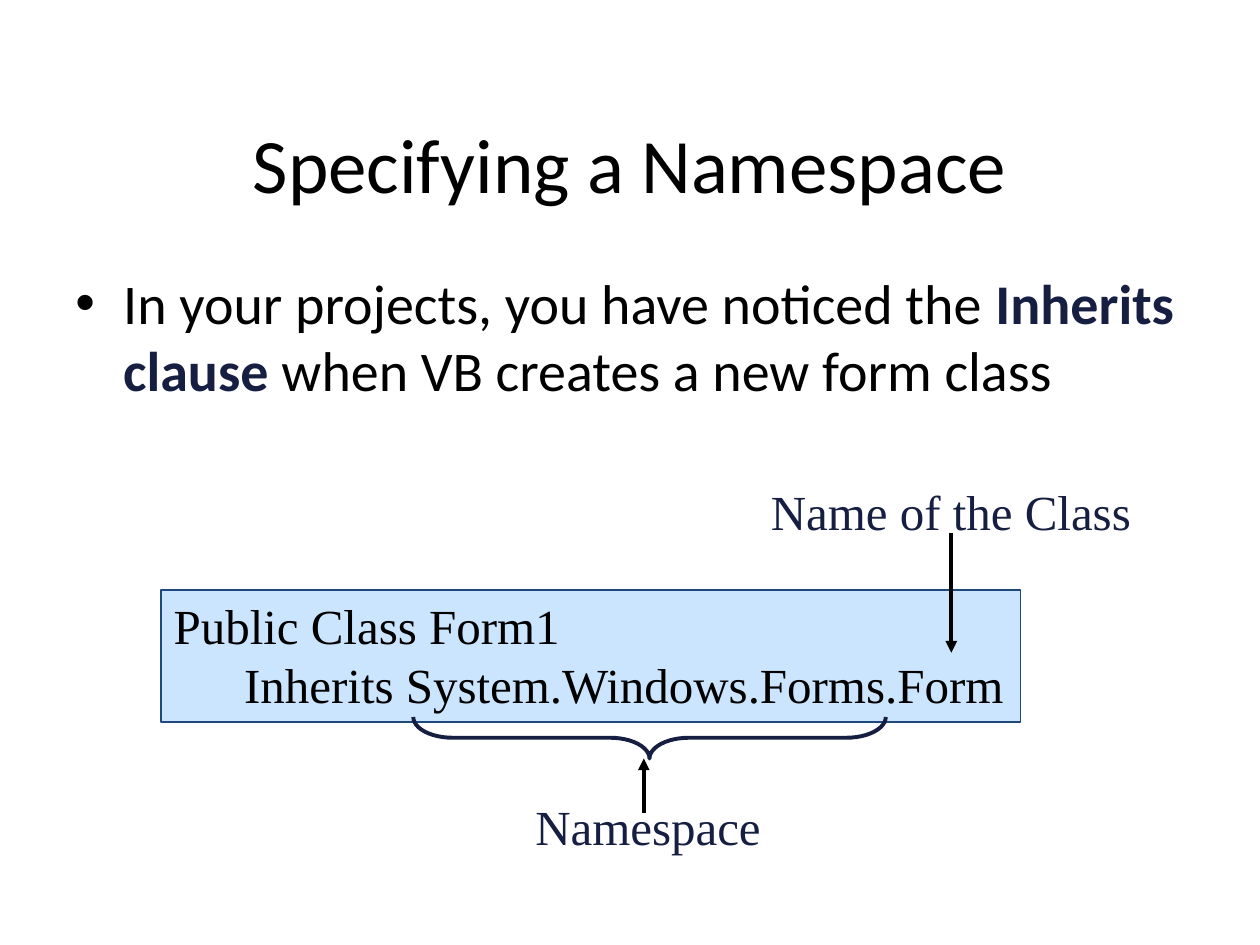
from dataclasses import dataclass

from lxml import etree
from pptx import Presentation
from pptx.dml.color import RGBColor
from pptx.enum.shapes import MSO_CONNECTOR, MSO_SHAPE
from pptx.enum.text import MSO_ANCHOR, MSO_AUTO_SIZE, PP_ALIGN
from pptx.oxml.ns import qn
from pptx.util import Inches, Pt

BLACK = RGBColor(0x00, 0x00, 0x00)
NAVY = RGBColor(0x16, 0x1F, 0x42)
BOX_FILL = RGBColor(0xCB, 0xE5, 0xFF)
BOX_LINE = RGBColor(0x1F, 0x49, 0x7D)
HEADING_FONT = "Calibri"
DIAGRAM_FONT = "Times New Roman"
RECTANGLE, LEFT_BRACE = MSO_SHAPE.RECTANGLE, MSO_SHAPE.LEFT_BRACE
STRAIGHT = MSO_CONNECTOR.STRAIGHT
LEFT, CENTER = PP_ALIGN.LEFT, PP_ALIGN.CENTER
TOP, MIDDLE = MSO_ANCHOR.TOP, MSO_ANCHOR.MIDDLE
GROW = MSO_AUTO_SIZE.SHAPE_TO_FIT_TEXT


@dataclass
class Label:
    text: str
    left: float
    top: float
    width: float


@dataclass
class Arrow:
    x: float
    start: float
    end: float


LABELS = [
    Label("Name of the Class", 6.02, 3.77, 3.06),
    Label("Namespace", 4.15, 6.27, 1.99),
]
ARROWS = [Arrow(7.55, 4.23, 5.18), Arrow(5.11, 6.45, 6.02)]
CODE = "Public Class Form1\n\tInherits System.Windows.Forms.Form"


def style_run(run, font: str, size: float, color: RGBColor, bold: bool = False) -> None:
    run.font.name = font
    run.font.size = Pt(size)
    run.font.color.rgb = color
    run.font.bold = bold


def set_diagram_text(shape, text: str, color: RGBColor) -> None:
    frame = shape.text_frame
    frame.text = text
    frame.word_wrap = False
    frame.auto_size = GROW
    frame.vertical_anchor = TOP
    for paragraph in frame.paragraphs:
        paragraph.alignment = LEFT
        for run in paragraph.runs:
            style_run(run, DIAGRAM_FONT, 28, color)


def add_title(slide) -> None:
    title = slide.shapes.title
    title.left, title.top = Inches(0.5), Inches(0.67)
    title.width, title.height = Inches(9), Inches(1.25)
    title.text_frame.text = "Specifying a Namespace"
    title.text_frame.vertical_anchor = MIDDLE
    paragraph = title.text_frame.paragraphs[0]
    paragraph.alignment = CENTER
    style_run(paragraph.runs[0], HEADING_FONT, 44, BLACK)


def add_body(slide) -> None:
    body = slide.shapes.add_textbox(Inches(0.5), Inches(2.08), Inches(9), Inches(4.62))
    body.text_frame.word_wrap = True
    paragraph = body.text_frame.paragraphs[0]
    properties = paragraph._p.get_or_add_pPr()
    properties.set("marL", str(Inches(0.38)))
    properties.set("indent", str(Inches(-0.38)))
    etree.SubElement(properties, qn("a:buFont"), typeface="Arial")
    etree.SubElement(properties, qn("a:buChar"), char="•")
    for text, color, bold in (
        ("In your projects, you have noticed the ", BLACK, False),
        ("Inherits clause", NAVY, True),
        (" when VB creates a new form class", BLACK, False),
    ):
        run = paragraph.add_run()
        run.text = text
        style_run(run, HEADING_FONT, 32, color, bold)


def add_code_box(slide) -> None:
    box = slide.shapes.add_shape(
        RECTANGLE, Inches(1.28), Inches(4.68), Inches(6.82), Inches(1.05)
    )
    box.shadow.inherit = False
    box.fill.solid()
    box.fill.fore_color.rgb = BOX_FILL
    box.line.color.rgb = BOX_LINE
    box.line.width = Pt(1)
    set_diagram_text(box, CODE, BLACK)
    # Tab stop that indents the second code line
    properties = box.text_frame.paragraphs[1]._p.get_or_add_pPr()
    tabs = etree.SubElement(properties, qn("a:tabLst"))
    etree.SubElement(tabs, qn("a:tab"), pos=str(Inches(0.56)), algn="l")


def add_label(slide, label: Label) -> None:
    box = slide.shapes.add_textbox(
        Inches(label.left), Inches(label.top), Inches(label.width), Inches(0.57)
    )
    set_diagram_text(box, label.text, NAVY)


def add_arrow(slide, arrow: Arrow) -> None:
    connector = slide.shapes.add_connector(
        STRAIGHT, Inches(arrow.x), Inches(arrow.start), Inches(arrow.x), Inches(arrow.end)
    )
    connector.line.color.rgb = BLACK
    connector.line.width = Pt(2.25)
    etree.SubElement(connector.line._get_or_add_ln(), qn("a:tailEnd"), type="triangle")
    etree.SubElement(connector._element.spPr, qn("a:effectLst"))


def add_brace(slide) -> None:
    brace = slide.shapes.add_shape(
        LEFT_BRACE, Inches(4.99), Inches(3.98), Inches(0.33), Inches(3.75)
    )
    brace.rotation = 270
    brace.adjustments[0] = 0.95
    brace.shadow.inherit = False
    brace.fill.background()
    brace.line.color.rgb = NAVY
    brace.line.width = Pt(2.25)


def main() -> None:
    presentation = Presentation()
    presentation.slide_width, presentation.slide_height = Inches(10), Inches(7.5)
    slide = presentation.slides.add_slide(presentation.slide_layouts[5])

    # Heading and bullet
    add_title(slide)
    add_body(slide)

    # Annotated code
    add_code_box(slide)
    for label in LABELS:
        add_label(slide, label)
    for arrow in ARROWS:
        add_arrow(slide, arrow)
    add_brace(slide)

    presentation.save("out.pptx")


if __name__ == "__main__":
    main()
